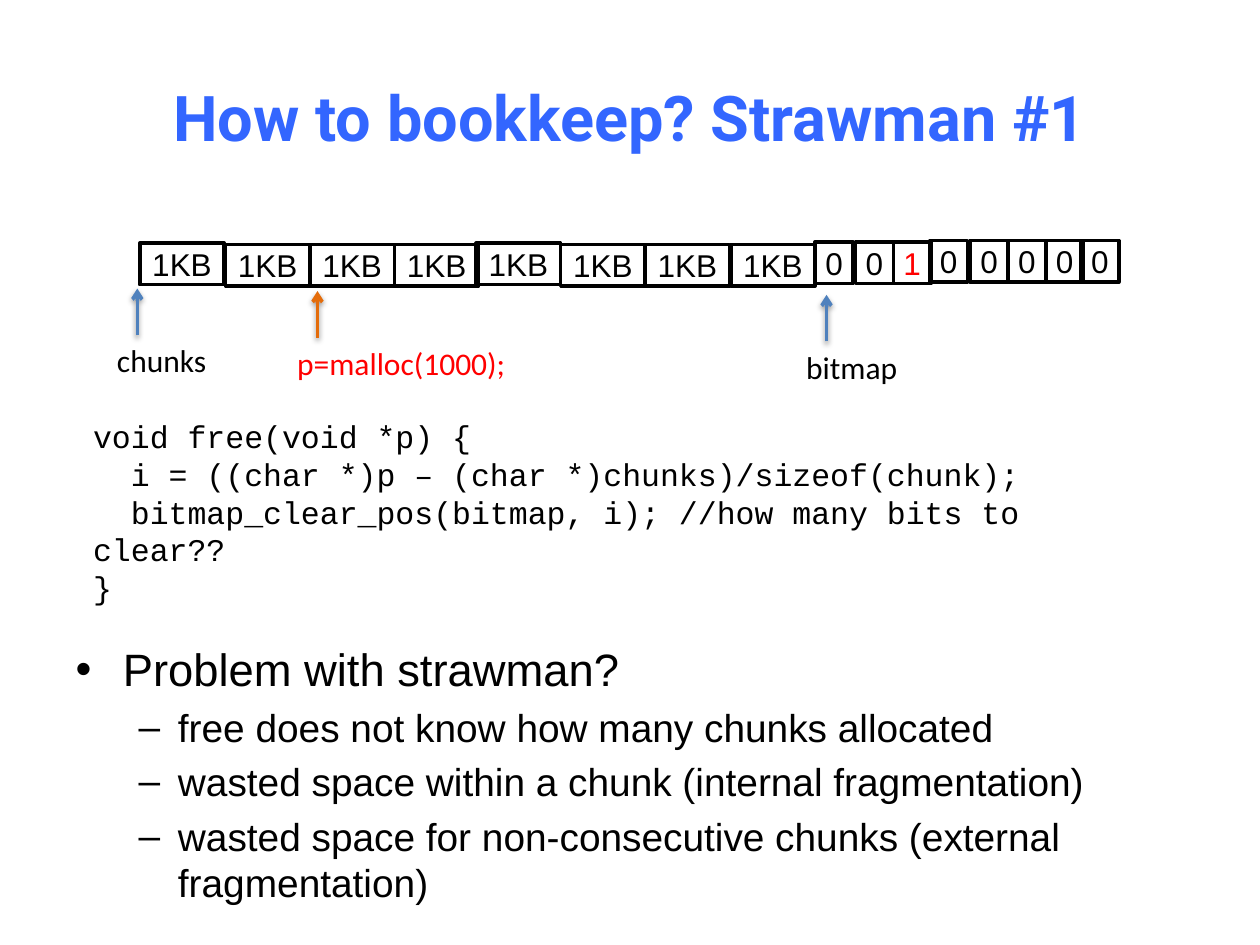
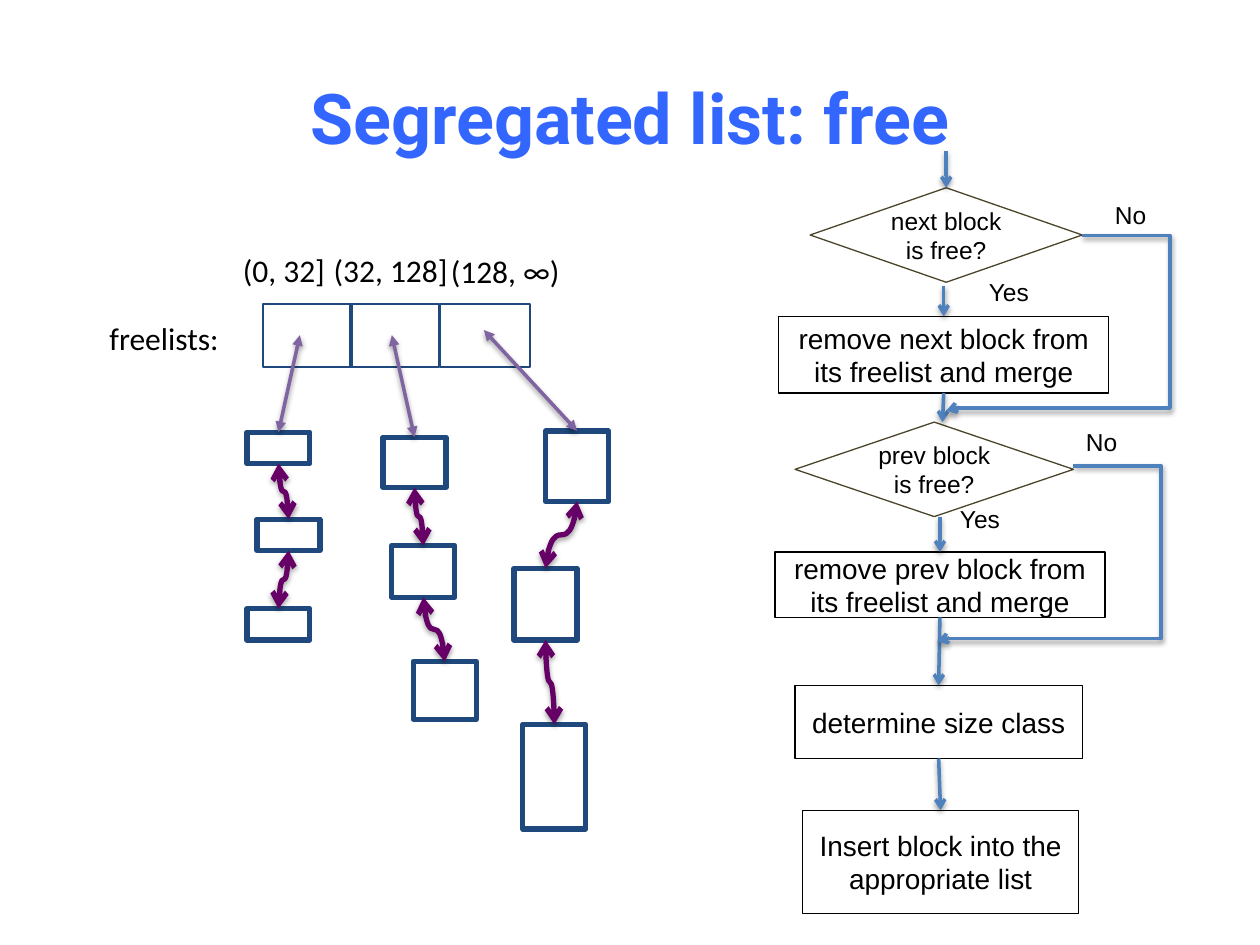
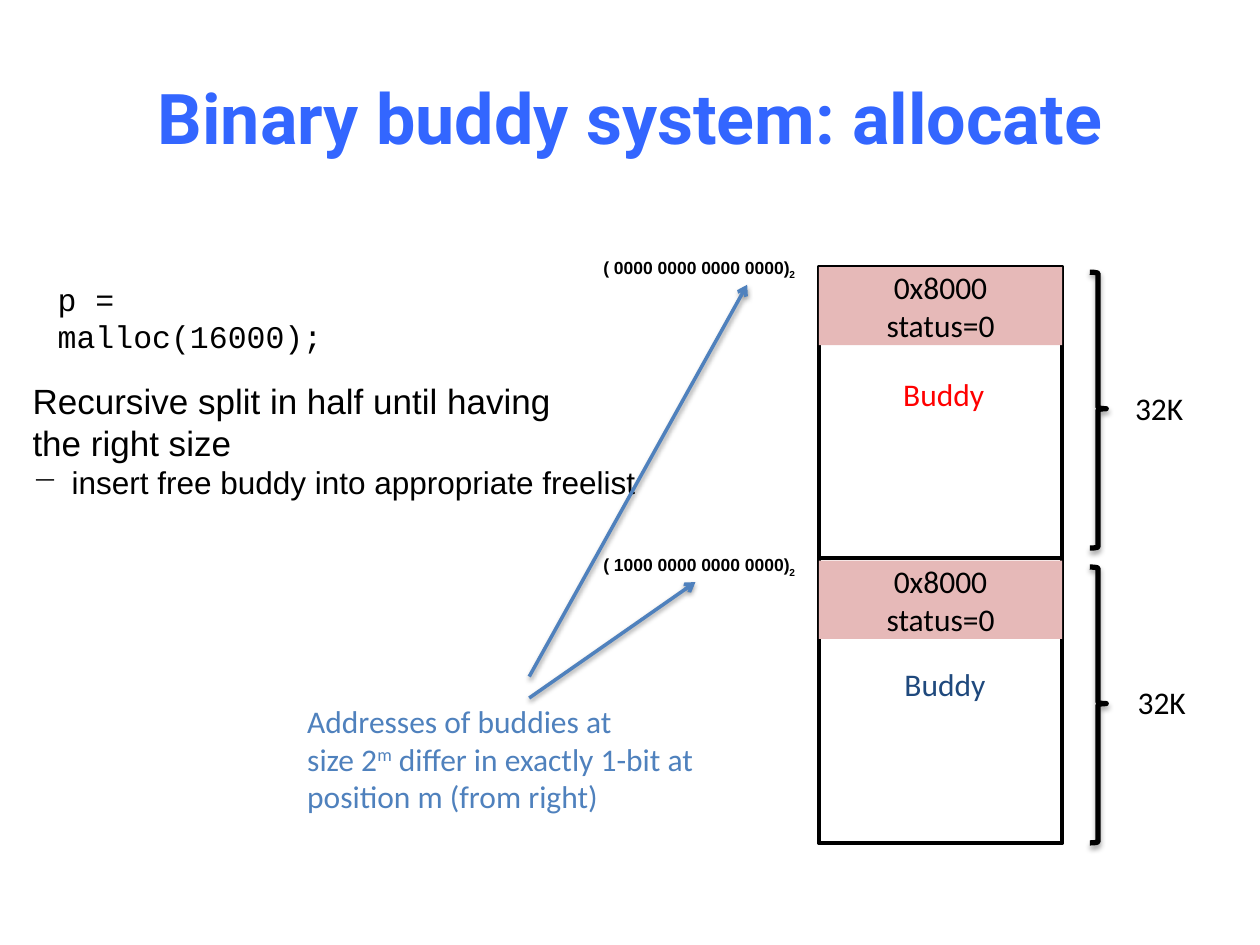
from dataclasses import dataclass, replace
from typing import NamedTuple

from lxml import etree
from pptx import Presentation
from pptx.dml.color import RGBColor
from pptx.enum.shapes import MSO_CONNECTOR, MSO_SHAPE
from pptx.enum.text import MSO_ANCHOR, MSO_AUTO_SIZE, PP_ALIGN
from pptx.oxml.ns import qn
from pptx.util import Inches, Pt

BLACK = RGBColor(0x00, 0x00, 0x00)
WHITE = RGBColor(0xFF, 0xFF, 0xFF)
RED = RGBColor(0xFF, 0x00, 0x00)
TITLE_BLUE = RGBColor(0x33, 0x66, 0xFF)
BLUE = RGBColor(0x4F, 0x81, 0xBD)
NAVY = RGBColor(0x1F, 0x49, 0x7D)
ORANGE = RGBColor(0xE4, 0x6C, 0x0A)
OLIVE = RGBColor(0x4A, 0x45, 0x2A)
PLUM = RGBColor(0x66, 0x00, 0x66)
VIOLET = RGBColor(0x80, 0x64, 0xA2)
PINK = RGBColor(0xE6, 0xB9, 0xB8)

RECT, DIAMOND, BRACE = MSO_SHAPE.RECTANGLE, MSO_SHAPE.DIAMOND, MSO_SHAPE.RIGHT_BRACE
STRAIGHT, ELBOW, CURVE = MSO_CONNECTOR.STRAIGHT, MSO_CONNECTOR.ELBOW, MSO_CONNECTOR.CURVE
CENTER, MIDDLE, NO_FIT = PP_ALIGN.CENTER, MSO_ANCHOR.MIDDLE, MSO_AUTO_SIZE.NONE
TOP, BOTTOM = 0, 2


class Style(NamedTuple):
    font: str
    size: float
    color: RGBColor = BLACK
    bold: bool = False


LABEL = Style("Calibri", 18)
CODE = Style("Courier New", 18)
CELL = Style("Arial", 18)
STEP = Style("Arial", 16)
TEST = Style("Arial", 14)
BITS = Style("Arial", 10, bold=True)


class Area(NamedTuple):
    left: float
    top: float
    width: float
    height: float

    def lengths(self) -> list:
        return [Inches(value) for value in self]


@dataclass
class Box:
    area: Area
    text: str = ""
    style: Style = STEP
    line: RGBColor | None = BLACK
    weight: float = 0.75
    fill: RGBColor | None = None
    kind: int = RECT
    wrap: bool = True
    turn: int = 0


@dataclass
class Note:
    area: Area
    text: str
    style: Style = LABEL
    wrap: bool = False


@dataclass
class Arrow:
    start: tuple[float, float]
    end: tuple[float, float]
    color: RGBColor = BLUE
    weight: float = 2
    head: str = ""
    tail: str = "arrow"
    source: object = None
    target: object = None


def dye(para, style: Style) -> None:
    """Give every run of the paragraph the font of the style."""
    for run in para.runs:
        font = run.font
        font.name, font.size, font.bold = style.font, Pt(style.size), style.bold
        font.color.rgb = style.color


def write(frame, text: str, style: Style, align=None) -> None:
    frame.text = text
    for para in frame.paragraphs:
        para.alignment = align
        dye(para, style)


def shift(para, index: int, base: int, style: Style) -> None:
    """Raise or lower the one letter at index by base percent."""
    text = para.text
    para.text = text[:index]
    for piece, level in ((text[index], base), (text[index + 1:], 0)):
        if piece:
            run = para.add_run()
            run.text = piece
            run.font._element.set("baseline", str(level * 1000))
    dye(para, style)


def shade(shape, alpha: int, gap: float) -> None:
    """Drop a soft black shadow straight down."""
    effects = etree.SubElement(shape._element.spPr, qn("a:effectLst"))
    shadow = etree.SubElement(effects, qn("a:outerShdw"), blurRad=str(Pt(3.1)),
                              dist=str(Pt(gap)), dir="5400000", rotWithShape="0")
    color = etree.SubElement(shadow, qn("a:srgbClr"), val=str(BLACK))
    etree.SubElement(color, qn("a:alpha"), val=str(alpha * 1000))


def add_box(slide, box: Box):
    shape = slide.shapes.add_shape(box.kind, *box.area.lengths())
    shape.rotation = box.turn
    shape.shadow.inherit = False
    if box.fill is None:
        shape.fill.background()
    else:
        shape.fill.solid()
        shape.fill.fore_color.rgb = box.fill
    if box.line is None:
        shape.line.fill.background()
    else:
        shape.line.color.rgb = box.line
        shape.line.width = Pt(box.weight)
    if box.text:
        frame = shape.text_frame
        frame.word_wrap, frame.vertical_anchor = box.wrap, MIDDLE
        write(frame, box.text, box.style, CENTER)
    return shape


def add_note(slide, note: Note):
    frame = slide.shapes.add_textbox(*note.area.lengths()).text_frame
    frame.word_wrap = note.wrap
    write(frame, note.text, note.style)
    return frame


def finish(link, arrow: Arrow) -> None:
    """Colour a connector and give it its arrowheads and shadow."""
    link.line.color.rgb = arrow.color
    link.line.width = Pt(arrow.weight)
    stroke = link.line._get_or_add_ln()
    for tag, kind in (("a:headEnd", arrow.head), ("a:tailEnd", arrow.tail)):
        if kind:
            etree.SubElement(stroke, qn(tag), type=kind)
    shade(link, 38, 1.6)


def add_link(slide, kind: int, start: tuple, end: tuple):
    return slide.shapes.add_connector(kind, *(Inches(v) for v in (*start, *end)))


def add_arrow(slide, arrow: Arrow) -> None:
    link = add_link(slide, STRAIGHT, arrow.start, arrow.end)
    if arrow.source is not None:
        link.begin_connect(arrow.source, BOTTOM)
    if arrow.target is not None:
        link.end_connect(arrow.target, TOP)
    finish(link, arrow)


def add_bypass(slide, arrow: Arrow) -> None:
    """Draw an elbow that leaves to the right, goes down and comes back."""
    link = add_link(slide, ELBOW, arrow.start, arrow.end)
    shape = link._element.spPr.find(qn("a:prstGeom"))
    shape.set("prst", "bentConnector4")
    guides = shape.find(qn("a:avLst"))
    if guides is None:
        guides = etree.SubElement(shape, qn("a:avLst"))
    for name, value in (("adj1", -64500), ("adj2", 98400)):
        etree.SubElement(guides, qn("a:gd"), name=name, fmla=f"val {value}")
    finish(link, arrow)


def add_curve(slide, arrow: Arrow) -> None:
    """Draw an S-curve that starts and ends vertically, as a turned connector."""
    (x1, y1), (x2, y2) = arrow.start, arrow.end
    mid_x, mid_y = (x1 + x2) / 2, (y1 + y2) / 2
    right = x2 > x1
    reach = (y2 - y1) / 2 * (1 if right else -1)
    rise = abs(x2 - x1) / 2
    link = add_link(slide, CURVE, (mid_x + reach, mid_y - rise),
                    (mid_x - reach, mid_y + rise))
    angle = 270 if right else 90
    link._element.spPr.find(qn("a:xfrm")).set("rot", str(angle * 60000))
    finish(link, arrow)


def add_slide(deck, layout: int, title: str, size: int = 40):
    slide = deck.slides.add_slide(deck.slide_layouts[layout])
    shape = slide.shapes.title
    shape.left, shape.top, shape.width, shape.height = Area(0.5, 0.3, 9, 1.25).lengths()
    shape.text_frame.vertical_anchor = MIDDLE
    shape.text_frame.auto_size = NO_FIT
    write(shape.text_frame, title, Style("Roboto", size, TITLE_BLUE, True), CENTER)
    return slide


def build_strawman(deck) -> None:
    slide = add_slide(deck, 1, "How to bookkeep? Strawman #1", 36)
    body = slide.placeholders[1]
    body.left, body.top, body.width, body.height = Area(0.5, 5.04, 9.4, 1.95).lengths()
    frame = body.text_frame
    frame.auto_size = NO_FIT
    frame.text = "\n".join((
        "Problem with strawman?",
        "free does not know how many chunks allocated",
        "wasted space within a chunk (internal fragmentation)",
        "wasted space for non-consecutive chunks (external fragmentation)"))
    first, *points = frame.paragraphs
    first.space_before = Pt(0)
    dye(first, Style("Arial", 25.9))
    for point in points:
        point.level = 1
        dye(point, Style("Arial", 22.2))

    chunks = ((1.11, 1.93), (1.79, 1.94), (2.46, 1.94), (3.13, 1.94),
              (3.78, 1.93), (4.45, 1.94), (5.12, 1.94), (5.8, 1.94))
    for left, top in chunks:
        add_box(slide, Box(Area(left, top, 0.67, 0.33), "1KB", CELL,
                           weight=2, wrap=False))
    bits = ((6.47, 1.92, "0"), (6.79, 1.92, "0"), (7.09, 1.92, "1"), (7.38, 1.91, "0"),
            (7.7, 1.91, "0"), (8, 1.91, "0"), (8.3, 1.91, "0"), (8.58, 1.91, "0"))
    for left, top, bit in bits:
        style = CELL._replace(color=RED) if bit == "1" else CELL
        add_box(slide, Box(Area(left, top, 0.3, 0.33), bit, style,
                           weight=2, wrap=False))

    pointers = ((1.09, 2.66, 0.92, "chunks", BLUE, BLACK),
                (2.52, 2.68, 1.87, "p=malloc(1000);", ORANGE, RED),
                (6.56, 2.71, 0.93, "bitmap", BLUE, BLACK))
    for x, top, width, text, color, ink in pointers:
        add_arrow(slide, Arrow((x, top), (x, top - 0.37), color))
        add_note(slide, Note(Area(x - 0.26, top, width, 0.4), text,
                             LABEL._replace(color=ink)))
    add_note(slide, Note(Area(0.64, 3.26, 8.11, 1.31), "\n".join((
        "void free(void *p) {",
        "  i = ((char *)p – (char *)chunks)/sizeof(chunk);",
        "  bitmap_clear_pos(bitmap, i); //how many bits to clear??",
        "}")), CODE, True))


def draw_flow(slide) -> None:
    diamond = Box(Area(6.43, 1.49, 2.16, 0.75), "next block is free?", TEST,
                  OLIVE, fill=WHITE, kind=DIAMOND)
    ask_next = add_box(slide, diamond)
    add_box(slide, replace(diamond, area=Area(6.31, 3.35, 2.21, 0.75),
                           text="prev block is free?"))
    steps = ((Area(6.18, 2.51, 2.62, 0.61), "remove next block from its freelist and merge"),
             (Area(6.15, 4.38, 2.62, 0.52), "remove prev block from its freelist and merge"),
             (Area(6.31, 5.44, 2.28, 0.58), "determine size class"),
             (Area(6.37, 6.43, 2.19, 0.82), "Insert block into the appropriate list"))
    drop_next, drop_prev, pick, insert = (
        add_box(slide, Box(area, text)) for area, text in steps)
    for arrow in (Arrow((7.51, 1.2), (7.51, 1.49), target=ask_next),
                  Arrow((7.49, 2.27), (7.49, 2.51), target=drop_next),
                  Arrow((7.49, 3.12), (7.48, 3.35), source=drop_next),
                  Arrow((7.46, 4.1), (7.48, 4.39), target=drop_prev),
                  Arrow((7.45, 4.89), (7.45, 5.44), source=drop_prev, target=pick),
                  Arrow((7.45, 6.02), (7.47, 6.43), source=pick, target=insert)):
        add_arrow(slide, arrow)
    for start, end in (((8.59, 1.87), (7.51, 3.26)), ((8.52, 3.7), (7.44, 5.09))):
        add_bypass(slide, Arrow(start, end))
    answers = ((7.75, 2.15, 0.52, "Yes"), (8.75, 1.54, 0.45, "No"),
               (7.52, 3.95, 0.52, "Yes"), (8.52, 3.34, 0.45, "No"))
    for left, top, width, text in answers:
        add_note(slide, Note(Area(left, top, width, 0.34), text, TEST))


def draw_lists(slide) -> None:
    add_note(slide, Note(Area(0.77, 2.48, 1.08, 0.4), "freelists:"))
    ranges = ((Area(1.83, 1.94, 0.86, 0.4), "(0, 32]"),
              (Area(2.55, 1.94, 1.12, 0.4), "(32, 128]"),
              (Area(3.48, 1.95, 1.07, 0.4), "(128, ∞)"))
    for area, text in ranges:
        add_note(slide, Note(area, text))
    for left in (2.19, 2.88, 3.6):
        add_box(slide, Box(Area(left, 2.31, 0.5, 0.71), line=NAVY, weight=1, turn=270))

    # Start of each list's arrow, then left, top and height of its blocks
    lists = (((2.38, 2.66), ((1.96, 3.43, 0.25), (2.04, 4.12, 0.25), (1.96, 4.83, 0.25))),
             ((3.11, 2.66), ((3.04, 3.47, 0.4), (3.11, 4.33, 0.41), (3.28, 5.25, 0.46))),
             ((3.84, 2.62), ((4.33, 3.42, 0.56), (4.08, 4.51, 0.57), (4.15, 5.75, 0.83))))
    width = 0.5
    for start, blocks in lists:
        shapes = [add_box(slide, Box(Area(left, top, width, height), line=NAVY, weight=3))
                  for left, top, height in blocks]
        left, top, _ = blocks[0]
        add_arrow(slide, Arrow(start, (left + width / 2, top), VIOLET, head="triangle",
                               tail="triangle", target=shapes[0]))
        for (left, top, height), (next_left, next_top, _) in zip(blocks, blocks[1:]):
            add_curve(slide, Arrow((left + width / 2, top + height),
                                   (next_left + width / 2, next_top),
                                   PLUM, 3, head="arrow"))


def build_free(deck) -> None:
    slide = add_slide(deck, 5, "Segregated list: free")
    draw_flow(slide)
    draw_lists(slide)


def draw_buddies(slide) -> None:
    left, width = 6.5, 1.93
    add_box(slide, Box(Area(left, 2.12, width, 4.57), weight=2))
    halves = ((2.12, 2.31, 2.12, 2.16, 1.99, "0000", (7.07, 2.93), RED, (8.91, 3.04)),
              (4.43, 2.26, 4.45, 4.5, 4.35, "1000", (7.08, 5.23), NAVY, (8.93, 5.37)))
    for top, height, head, brace_top, bits_top, bits, name, color, size in halves:
        add_box(slide, Box(Area(left, top, width, height), weight=2))
        add_box(slide, Box(Area(left, head, width, 0.62), "0x8000\nstatus=0", LABEL,
                           line=None, fill=PINK))
        brace = add_box(slide, Box(Area(8.65, brace_top, 0.13, 2.19), weight=3, kind=BRACE))
        brace.adjustments[0], brace.adjustments[1] = 0.083, 0.495
        spot = brace._element.spPr
        spot.remove(spot.find(qn("a:effectLst")))
        shade(brace, 35, 1.8)
        add_note(slide, Note(Area(*name, 0.85, 0.4), "Buddy", LABEL._replace(color=color)))
        add_note(slide, Note(Area(*size, 0.59, 0.4), "32K"))
        frame = add_note(slide, Note(Area(4.69, bits_top, 1.76, 0.27),
                                     f"( {bits} 0000 0000 0000)2", BITS))
        shift(frame.paragraphs[0], 22, -25, BITS)


def build_buddy(deck) -> None:
    slide = add_slide(deck, 5, "Binary buddy system: allocate")
    draw_buddies(slide)
    add_note(slide, Note(Area(0.36, 2.17, 2.7, 0.4), "p = malloc(16000);", CODE, True))

    frame = add_note(slide, Note(Area(0.16, 2.96, 5.52, 1.08), "\n".join((
        "Recursive split in half until having",
        "the right size",
        "insert free buddy into appropriate freelist")), Style("Arial", 20), True))
    point = frame.paragraphs[2]
    props = point._p.get_or_add_pPr()
    props.set("marL", str(Inches(0.31)))
    props.set("indent", str(Inches(-0.31)))
    etree.SubElement(props, qn("a:buChar"), char="−")
    dye(point, CELL)

    for start, end in (((4.2, 5.37), (5.93, 2.26)), ((4.2, 5.54), (5.52, 4.62))):
        add_arrow(slide, Arrow(start, end))
    style = LABEL._replace(color=BLUE)
    frame = add_note(slide, Note(Area(2.34, 5.52, 3.34, 1.01), "\n".join((
        "Addresses of buddies at",
        "size 2m differ in exactly 1-bit at",
        "position m (from right)")), style))
    shift(frame.paragraphs[1], 6, 30, style)


def main() -> None:
    deck = Presentation()
    deck.slide_width, deck.slide_height = Inches(10), Inches(7.5)
    build_strawman(deck)
    build_free(deck)
    build_buddy(deck)
    deck.save("out.pptx")


if __name__ == "__main__":
    main()
